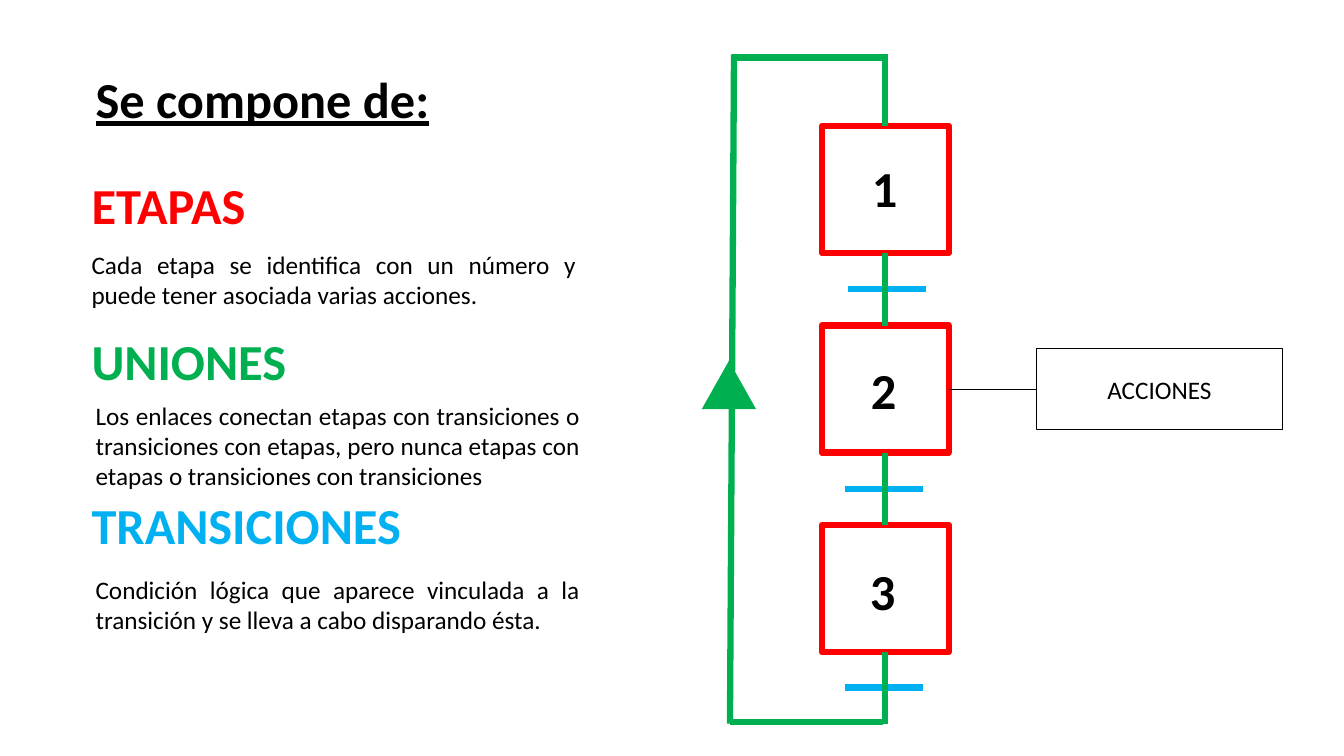
from pptx import Presentation
from pptx.dml.color import RGBColor
from pptx.enum.shapes import MSO_CONNECTOR, MSO_SHAPE
from pptx.enum.text import MSO_ANCHOR, MSO_AUTO_SIZE, PP_ALIGN
from pptx.oxml.ns import qn
from pptx.util import Emu, Pt
from lxml import etree

PX = 9144
COLORS = {"red": "FF0000", "green": "00B050", "blue": "00B0F0", "black": "000000"}

prs = Presentation()
prs.slide_width = Emu(1333 * PX)
prs.slide_height = Emu(750 * PX)
s = prs.slides.add_slide(prs.slide_layouts[6])


def add_text(text, x, y, w, h, size, color="black", bold=False, underline=False, align=PP_ALIGN.LEFT):
    tf = s.shapes.add_textbox(x * PX, y * PX, w * PX, h * PX).text_frame
    tf.word_wrap = True
    tf.auto_size = MSO_AUTO_SIZE.SHAPE_TO_FIT_TEXT
    p = tf.paragraphs[0]
    p.alignment = align
    r = p.add_run()
    r.text = text
    r.font.name = "Calibri"
    r.font.size = Pt(size)
    r.font.bold = bold
    r.font.underline = underline
    r.font.color.rgb = RGBColor.from_string(COLORS[color])


def add_line(x1, y1, x2, y2, color, width=4.5):
    line = s.shapes.add_connector(MSO_CONNECTOR.STRAIGHT, x1 * PX, y1 * PX, x2 * PX, y2 * PX)
    line.line.color.rgb = RGBColor.from_string(COLORS[color])
    line.line.width = Pt(width)
    etree.SubElement(line._element.spPr, qn("a:effectLst"))
    return line


add_text("Se compone de:", 85, 63, 513, 71, 36, bold=True, underline=True)

sections = [
    ("ETAPAS", "red", 168, 81, 242, 71,
     "Cada etapa se identifica con un número y puede tener asociada varias acciones."),
    ("UNIONES", "green", 323, 85, 392, 101,
     "Los enlaces conectan etapas con transiciones o transiciones con etapas, "
     "pero nunca etapas con etapas o transiciones con transiciones"),
    ("TRANSICIONES", "blue", 485, 85, 565, 71,
     "Condición lógica que aparece vinculada a la transición y se lleva a cabo disparando ésta."),
]
for heading, color, heading_y, body_x, body_y, body_h, body in sections:
    add_text(heading, 81, heading_y, 513, 71, 36, color, bold=True)
    add_text(body, body_x, body_y, 500, body_h, 18, align=PP_ALIGN.JUSTIFY)

STAGE_X, STAGE_Y, STAGE_SIZE, STAGE_STEP = 815, 125, 126, 198
AXIS_X = STAGE_X + STAGE_SIZE // 2
TOP, BOTTOM = 54, 718

stages = []
for i in range(3):
    stage = s.shapes.add_shape(MSO_SHAPE.RECTANGLE, STAGE_X * PX, (STAGE_Y + i * STAGE_STEP) * PX,
                               STAGE_SIZE * PX, STAGE_SIZE * PX)
    stage.shadow.inherit = False
    stage.fill.background()
    stage.line.color.rgb = RGBColor.from_string(COLORS["red"])
    stage.line.width = Pt(4.5)
    stages.append(stage)
    add_text(str(i + 1), 840 - i, 151 + i * 200, 75, 71, 36, bold=True, align=PP_ALIGN.CENTER)

for x, y in [(841, 287), (838, 485), (838, 682)]:
    add_line(x, y, x + 77, y, "blue")

entry = add_line(AXIS_X, TOP, AXIS_X, STAGE_Y, "green")
entry.end_connect(stages[0], 0)
for i, stage in enumerate(stages):
    link = add_line(AXIS_X, STAGE_Y + i * STAGE_STEP + STAGE_SIZE, AXIS_X, BOTTOM, "green")
    link.begin_connect(stage, 2)
    if i < 2:
        link.end_connect(stages[i + 1], 0)

add_line(728, TOP, 724, BOTTOM, "green")
add_line(878, 57, 726, 57, "green")
add_line(876, 716, 724, 716, "green")

arrow = s.shapes.add_shape(MSO_SHAPE.ISOSCELES_TRIANGLE, 696 * PX, 358 * PX, 54 * PX, 48 * PX)
arrow.shadow.inherit = False
arrow.fill.solid()
arrow.fill.fore_color.rgb = RGBColor.from_string(COLORS["green"])
arrow.line.fill.background()

actions = s.shapes.add_shape(MSO_SHAPE.RECTANGLE, 1028 * PX, 346 * PX, 244 * PX, 80 * PX)
actions.shadow.inherit = False
actions.fill.background()
actions.line.color.rgb = RGBColor.from_string(COLORS["black"])
actions.line.width = Pt(1)
tf = actions.text_frame
tf.vertical_anchor = MSO_ANCHOR.MIDDLE
p = tf.paragraphs[0]
p.alignment = PP_ALIGN.CENTER
r = p.add_run()
r.text = "ACCIONES"
r.font.name = "Calibri"
r.font.size = Pt(18)
r.font.color.rgb = RGBColor.from_string(COLORS["black"])

action_link = add_line(941, 386, 1028, 386, "black", 0.5)
action_link.begin_connect(stages[1], 3)
action_link.end_connect(actions, 1)

prs.save("out.pptx")
